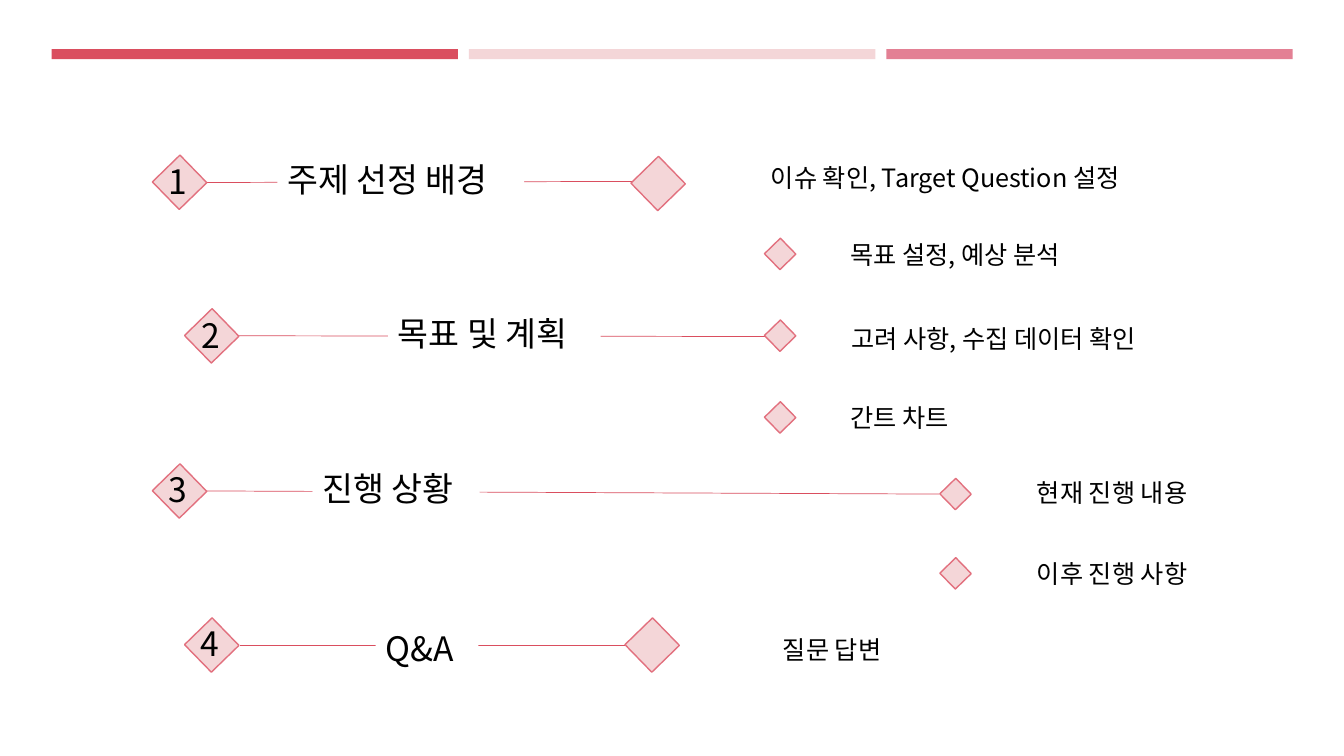
from lxml.etree import SubElement
from pptx import Presentation
from pptx.dml.color import RGBColor
from pptx.enum.shapes import MSO_CONNECTOR as Connector, MSO_SHAPE as Preset
from pptx.enum.text import MSO_ANCHOR as Anchor
from pptx.oxml.ns import qn
from pptx.util import Cm, Pt

FONT = "Noto Sans CJK KR"
RED, ROSE, PINK, OUTLINE = "DA4E5F", "E38094", "F4D6D8", "E2707E"
WHITE, BLACK = "FFFFFF", "000000"
LARGE, SMALL = 0.97, 0.56  # diamond side, cm
HEADING_SIZE, DETAIL_SIZE = 24, 18

# Line start and end
LINES = [
    (5.13, 4.6, 16.59, 4.57),
    (5.23, 8.46, 19.66, 8.48),
    (5, 12.37, 23.67, 12.45),
    (6.05, 16.26, 15.88, 16.26),
]
# Text, left, top, width
HEADINGS = [
    ("주제 선정 배경", 6.99, 3.89, 6.22),
    ("목표 및 계획", 9.78, 7.77, 5.36),
    ("진행 상황", 7.87, 11.66, 4.22),
    ("Q&A", 9.47, 15.7, 2.59),
]
DETAILS = [
    ("이슈 확인, Target Question 설정", 19.18, 3.96, 9.8),
    ("목표 설정, 예상 분석", 21.18, 5.89, 6.48),
    ("고려 사항, 수집 데이터 확인", 21.21, 8.03, 8.61),
    ("간트 차트", 21.18, 10.01, 3.3),
    ("현재 진행 내용", 25.88, 11.89, 4.83),
    ("이후 진행 사항", 25.88, 13.94, 4.83),
    ("질문 답변", 19.48, 15.85, 3.53),
]
NUMBERS = [(3.99, 3.94), (4.83, 7.8), (3.99, 11.68), (4.8, 15.57)]
# Left, top, side
DIAMONDS = [
    (4.04, 4.11, LARGE),
    (4.85, 7.98, LARGE),
    (4.04, 11.89, LARGE),
    (4.85, 15.77, LARGE),
    (16.1, 4.14, LARGE),
    (15.95, 15.77, LARGE),
    *[(19.38, 6.12 + 2.06 * row, SMALL) for row in range(3)],
    (23.8, 12.17, SMALL),
    (23.8, 14.17, SMALL),
]


def color(value):
    return RGBColor.from_string(value)


def add_box(page, left, top, width, height, fill):
    box = page.shapes.add_shape(
        Preset.RECTANGLE, Cm(left), Cm(top), Cm(width), Cm(height))
    box.shadow.inherit = False
    box.fill.solid()
    box.fill.fore_color.rgb = color(fill)
    box.line.fill.background()
    return box


def add_diamond(page, left, top, side):
    diamond = add_box(page, left, top, side, side, PINK)
    diamond.rotation = 45.8
    diamond.line.color.rgb = color(OUTLINE)
    diamond.line.width = Pt(1)


def add_line(page, x1, y1, x2, y2):
    line = page.shapes.add_connector(
        Connector.STRAIGHT, Cm(x1), Cm(y1), Cm(x2), Cm(y2))
    line.line.color.rgb = color(RED)
    line.line.width = Pt(0.5)
    SubElement(line._element.spPr, qn("a:effectLst"))


def write(box, text, size):
    frame = box.text_frame
    frame.word_wrap = True
    frame.vertical_anchor = Anchor.MIDDLE
    para = frame.paragraphs[0]
    para.text = text
    para.alignment = 1  # left
    para.font.size = Pt(size)
    para.font.color.rgb = color(BLACK)
    para.font.name = FONT
    # Korean letters take the East Asian typeface
    defaults = para._p.get_or_add_pPr().find(qn("a:defRPr"))
    SubElement(defaults, qn("a:ea")).set("typeface", FONT)


def add_label(page, text, left, top, width, height, size):
    label = page.shapes.add_textbox(Cm(left), Cm(top), Cm(width), Cm(height))
    write(label, text, size)


def main():
    deck = Presentation()
    deck.slide_width, deck.slide_height = Cm(33.87), Cm(19.05)
    page = deck.slides.add_slide(deck.slide_layouts[6])

    for line in LINES:
        add_line(page, *line)
    for text, left, top, width in HEADINGS:
        write(add_box(page, left, top, width, 1.27, WHITE), text, HEADING_SIZE)
    for column, fill in enumerate([RED, PINK, ROSE]):
        add_box(page, 1.3 + 10.52 * column, 1.24, 10.24, 0.25, fill)
    for diamond in DIAMONDS:
        add_diamond(page, *diamond)
    for text, left, top, width in DETAILS:
        add_label(page, text, left, top, width, 1.02, DETAIL_SIZE)
    for number, (left, top) in enumerate(NUMBERS, start=1):
        add_label(page, str(number), left, top, 1.04, 1.27, HEADING_SIZE)

    deck.save("out.pptx")


if __name__ == "__main__":
    main()
